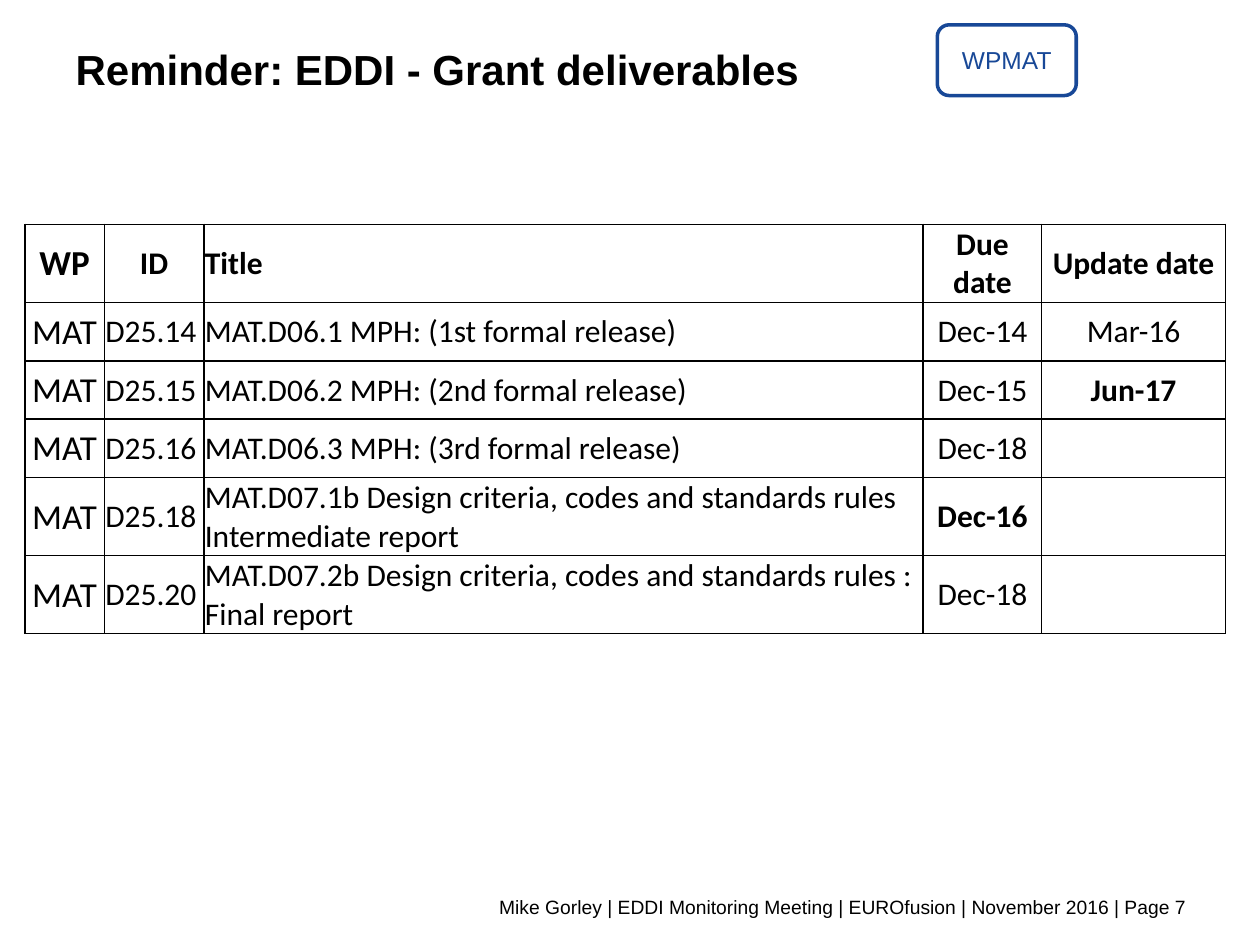
from lxml import etree
from pptx import Presentation
from pptx.dml.color import RGBColor
from pptx.enum import shapes, text
from pptx.oxml.ns import qn
from pptx.util import Pt

BLACK = RGBColor(0, 0, 0)
BLUE = RGBColor(0x18, 0x48, 0x97)
LEFT, CENTER, RIGHT = text.PP_ALIGN.LEFT, text.PP_ALIGN.CENTER, text.PP_ALIGN.RIGHT

TITLE = "Reminder: EDDI - Grant deliverables"
BADGE = "WPMAT"
FOOTER = "Mike Gorley | EDDI Monitoring Meeting | EUROfusion | November 2016 | Page 7"
HEADER = ("WP", "ID", "Title", "Due date", "Update date")
DELIVERABLES = [
    ("MAT", "D25.14", "MAT.D06.1 MPH: (1st formal release)", "Dec-14", "Mar-16"),
    ("MAT", "D25.15", "MAT.D06.2 MPH: (2nd formal release)", "Dec-15", "Jun-17"),
    ("MAT", "D25.16", "MAT.D06.3 MPH: (3rd formal release)", "Dec-18", ""),
    ("MAT", "D25.18", "MAT.D07.1b Design criteria, codes and standards rules "
     "Intermediate report", "Dec-16", ""),
    ("MAT", "D25.20", "MAT.D07.2b Design criteria, codes and standards rules : "
     "Final report", "Dec-18", ""),
]
BOLD_DATES = {"Jun-17", "Dec-16"}
COL_WIDTHS = (45.4, 56.9, 411.1, 67.7, 105.1)
COL_ALIGNS = (CENTER, LEFT, LEFT, CENTER, CENTER)
ROW_HEIGHT = 33.4


def write(tf, words, size, font="Arial", color=BLACK, bold=False, align=LEFT):
    p = tf.paragraphs[0]
    p.alignment = align
    r = p.add_run()
    r.text = words
    r.font.name, r.font.size, r.font.bold = font, Pt(size), bold
    r.font.color.rgb = color


def add_borders(cell):
    tc_pr = cell._tc.get_or_add_tcPr()
    for i, side in enumerate(("lnL", "lnR", "lnT", "lnB")):
        ln = etree.Element(qn("a:" + side), w=str(Pt(1)))
        fill = etree.SubElement(ln, qn("a:solidFill"))
        etree.SubElement(fill, qn("a:srgbClr"), val=str(BLACK))
        tc_pr.insert(i, ln)


def add_deliverables(s):
    rows = [HEADER] + DELIVERABLES
    frame = s.shapes.add_table(len(rows), len(HEADER), Pt(14.2), Pt(128.2),
                               Pt(sum(COL_WIDTHS)), Pt(ROW_HEIGHT * len(rows)))
    table = frame.table
    for col, width in zip(table.columns, COL_WIDTHS):
        col.width = Pt(width)
    for i, row in enumerate(rows):
        table.rows[i].height = Pt(ROW_HEIGHT)
        for j, words in enumerate(row):
            cell = table.cell(i, j)
            cell.fill.background()
            add_borders(cell)
            cell.vertical_anchor = text.MSO_ANCHOR.MIDDLE
            cell.margin_left = cell.margin_right = cell.margin_top = Pt(0.6)
            cell.margin_bottom = Pt(0)
            if words:
                align = CENTER if (i, j) == (0, 1) else COL_ALIGNS[j]
                write(cell.text_frame, words, 20 if j == 0 else 18, "Calibri",
                      bold=i == 0 or words in BOLD_DATES, align=align)


def main():
    prs = Presentation()
    prs.slide_width, prs.slide_height = Pt(720), Pt(540)
    s = prs.slides.add_slide(prs.slide_layouts[5])

    title = s.shapes.title
    title.left, title.top, title.width, title.height = Pt(36), Pt(21), Pt(584.6), Pt(52)
    title.text_frame.vertical_anchor = text.MSO_ANCHOR.TOP
    write(title.text_frame, TITLE, 24, bold=True)

    badge = s.shapes.add_shape(shapes.MSO_SHAPE.ROUNDED_RECTANGLE,
                               Pt(535.6), Pt(14.2), Pt(79.4), Pt(40.4))
    badge.shadow.inherit = False
    badge.fill.background()
    badge.line.color.rgb = BLUE
    badge.line.width = Pt(2)
    badge.text_frame.vertical_anchor = text.MSO_ANCHOR.MIDDLE
    write(badge.text_frame, BADGE, 14, color=BLUE, align=CENTER)

    add_deliverables(s)

    footer = s.shapes.add_textbox(Pt(36.7), Pt(508.3), Pt(648.7), Pt(20.6))
    footer.text_frame.word_wrap = True
    write(footer.text_frame, FOOTER, 11, align=RIGHT)

    prs.save("out.pptx")


if __name__ == "__main__":
    main()
